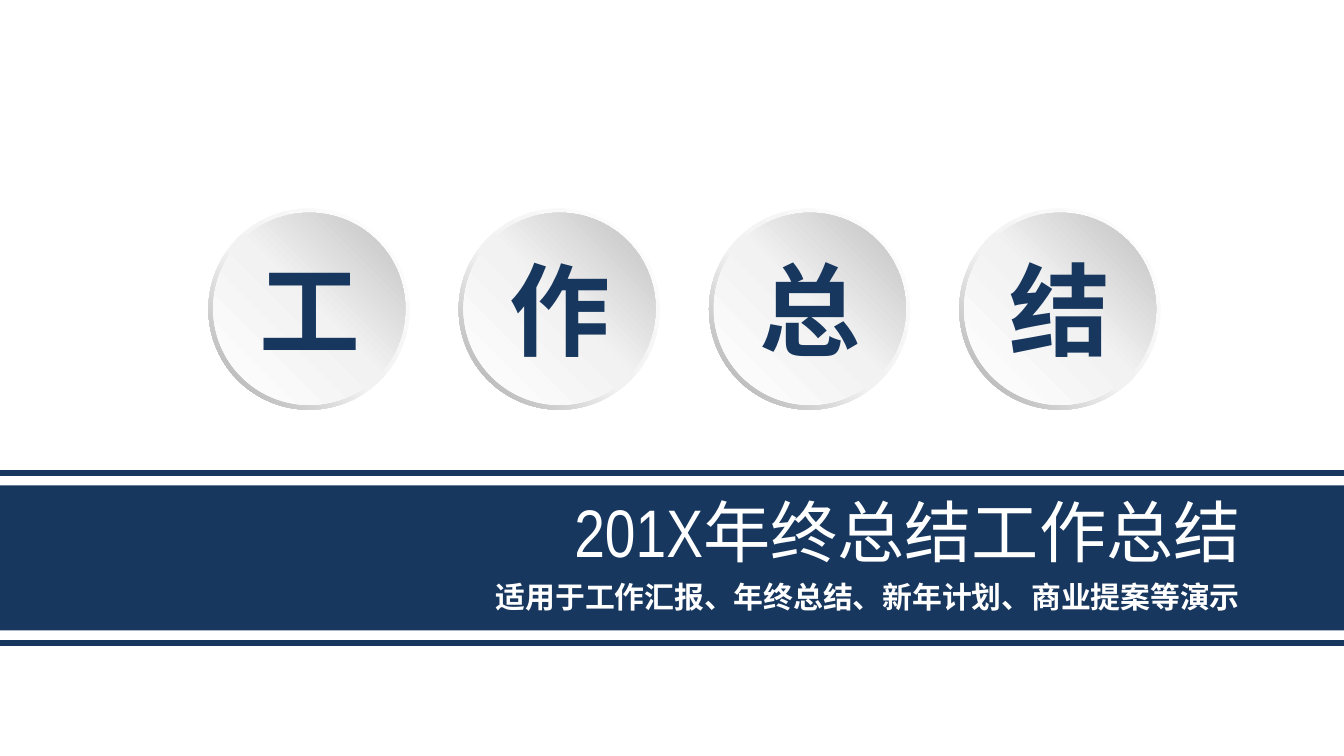
from lxml import etree
from pptx import Presentation
from pptx.dml.color import RGBColor
from pptx.enum.shapes import MSO_CONNECTOR, MSO_SHAPE
from pptx.enum.text import MSO_ANCHOR, MSO_AUTO_SIZE, PP_ALIGN
from pptx.oxml import parse_xml
from pptx.oxml.ns import nsdecls, qn
from pptx.util import Cm, Pt

RECT, DONUT, OVAL = MSO_SHAPE.RECTANGLE, MSO_SHAPE.DONUT, MSO_SHAPE.OVAL
STRAIGHT = MSO_CONNECTOR.STRAIGHT
TOP, NO_FIT = MSO_ANCHOR.TOP, MSO_AUTO_SIZE.NONE
RIGHT, CENTER = PP_ALIGN.RIGHT, PP_ALIGN.CENTER
NAVY, WHITE = "17375E", "FFFFFF"
CJK = "Noto Sans CJK SC"
rgb = RGBColor.from_string


def style_run(r, size, color, bold, font=CJK):
    r.font.size, r.font.bold, r.font.name = Pt(size), bold, font
    r.font.color.rgb = rgb(color)
    ea = etree.SubElement(r.font._element, qn("a:ea"))
    ea.set("typeface", CJK)


def fill_gradient(sp, stops, angle):
    sp.shadow.inherit = False
    sp.line.fill.background()
    gs = "".join(f'<a:gs pos="{pos * 1000}"><a:srgbClr val="{color}"/></a:gs>'
                 for pos, color in stops)
    grad = parse_xml(f'<a:gradFill {nsdecls("a")} rotWithShape="1"><a:gsLst>{gs}</a:gsLst>'
                     f'<a:lin ang="{angle * 60000}" scaled="0"/></a:gradFill>')
    sp._element.spPr.find(qn("a:prstGeom")).addnext(grad)


prs = Presentation()
prs.slide_width, prs.slide_height = Cm(25.4), Cm(14.28)
s = prs.slides.add_slide(prs.slide_layouts[0])

# Navy band, behind the title placeholders
band = s.shapes.add_shape(RECT, 0, Cm(9.17), prs.slide_width, Cm(2.74))
band.shadow.inherit = False
band.fill.solid()
band.fill.fore_color.rgb = rgb(NAVY)
band.line.fill.background()
s.shapes._spTree.insert(2, band._element)

# Title and subtitle
title, subtitle = s.placeholders
for sp, top, height, size, bold, parts in (
    (title, 9.14, 1.8, 36, False, [("201X", "Arial Narrow"), ("年终总结工作总结", CJK)]),
    (subtitle, 10.8, 0.94, 16, True, [("适用于工作汇报、年终总结、新年计划、商业提案等演示", CJK)]),
):
    sp.left, sp.top, sp.width, sp.height = Cm(7.09), Cm(top), Cm(16.61), Cm(height)
    tf = sp.text_frame
    tf.word_wrap, tf.auto_size, tf.vertical_anchor = True, NO_FIT, TOP
    p = tf.paragraphs[0]
    p.alignment, p.space_before = RIGHT, Pt(0)
    for text, font in parts:
        r = p.add_run()
        r.text = text
        style_run(r, size, WHITE, bold, font)

# Rules above and below the band
for y in (8.94, 12.14):
    rule = s.shapes.add_connector(STRAIGHT, 0, Cm(y), prs.slide_width, Cm(y))
    rule.line.color.rgb = rgb(NAVY)
    rule.line.width = Pt(3)
    etree.SubElement(rule._element.spPr, qn("a:effectLst"))

# Round buttons, one character each
for i, char in enumerate("工作总结"):
    x = 3.94 + i * 4.73
    button = s.shapes.add_group_shape()
    rim = button.shapes.add_shape(DONUT, Cm(x), Cm(3.94), Cm(3.8), Cm(3.8))
    rim.adjustments[0] = 0.05
    fill_gradient(rim, [(0, WHITE), (55, "F2F2F2"), (100, "A6A6A6")], 135)
    face = button.shapes.add_shape(OVAL, Cm(x + 0.09), Cm(4.02), Cm(3.63), Cm(3.63))
    fill_gradient(face, [(0, WHITE), (51, "F2F2F2"), (100, "BFBFBF")], 315)
    label = button.shapes.add_textbox(Cm(x + 0.69), Cm(4.55), Cm(2.44), Cm(2.57))
    tf = label.text_frame
    tf.word_wrap = False
    p = tf.paragraphs[0]
    p.text, p.alignment = char, CENTER
    style_run(p.runs[0], 54, NAVY, True)

prs.save("out.pptx")
